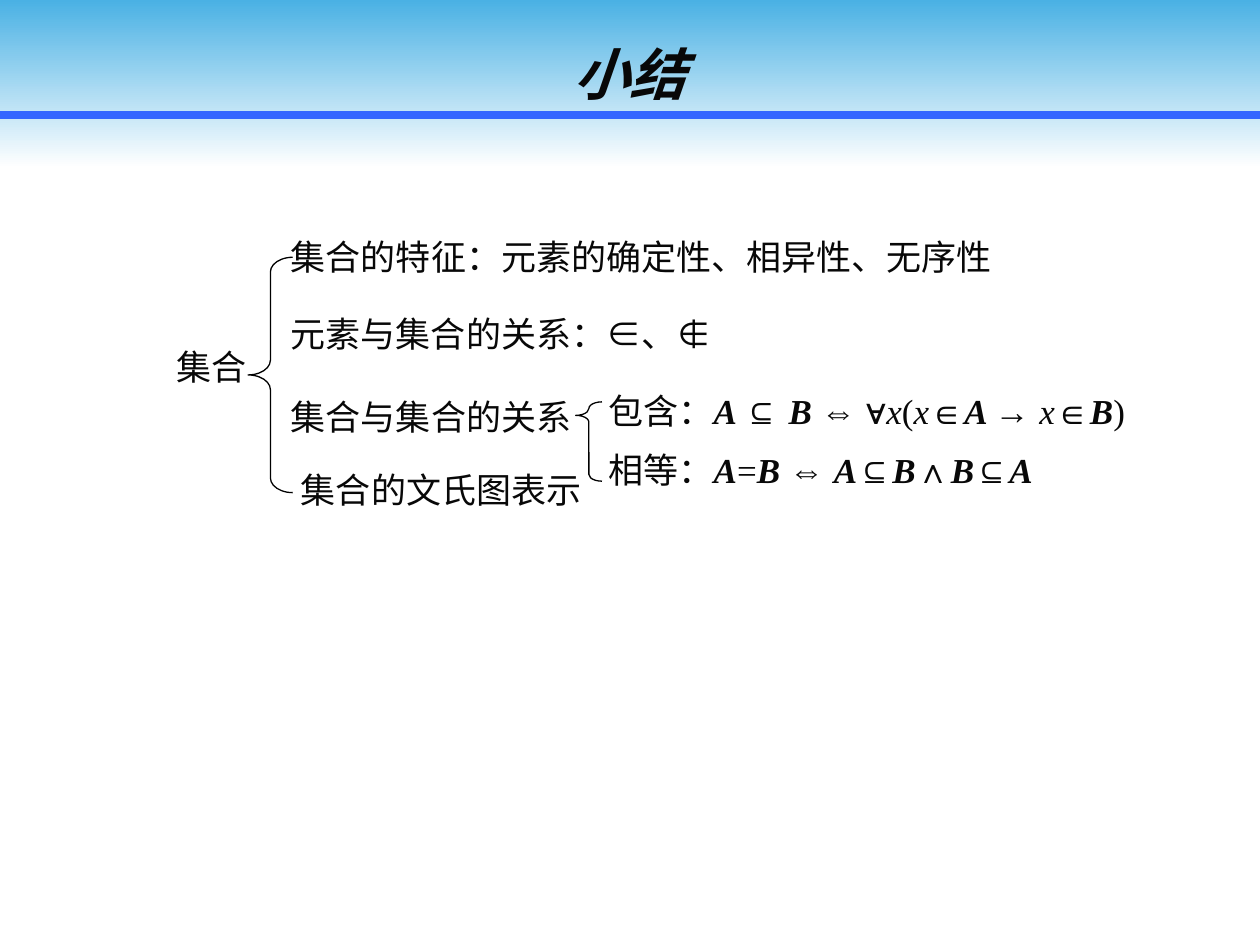
import pptx
import pptx.util
import pptx.dml.color
import pptx.enum.shapes
import pptx.enum.text
import pptx.oxml

Pt = pptx.util.Pt
RGBColor = pptx.dml.color.RGBColor
SHAPES = pptx.enum.shapes.MSO_SHAPE

SKY = RGBColor(0x4A, 0xB1, 0xE4)
WHITE = RGBColor(0xFF, 0xFF, 0xFF)
BLUE = RGBColor(0x33, 0x66, 0xFF)
INK = RGBColor(0x08, 0x08, 0x08)
BLACK = RGBColor(0, 0, 0)

# Run styles: font, bold, italic
PLAIN = ("Arial", False, False)
SET = ("Times New Roman", True, True)
VARIABLE = ("Times New Roman", False, True)
ROMAN = ("Times New Roman", False, False)
HEADING = ("Arial", True, True)


def add_runs(para, runs, size):
    for text, (font, bold, italic) in runs:
        span = para.add_run()
        span.text = text
        span.font.name = font
        span.font.size = Pt(size)
        span.font.bold = bold
        span.font.italic = italic
        span.font.color.rgb = INK


deck = pptx.Presentation()
deck.slide_width = Pt(720)
deck.slide_height = Pt(540)
page = deck.slides.add_slide(deck.slide_layouts[5])

# Header band, fading from sky to white
band = page.shapes.add_shape(SHAPES.RECTANGLE, 0, 0, Pt(720), Pt(95.76))
band.shadow.inherit = False
band.line.fill.background()
band.fill.gradient()
band.fill.gradient_angle = 270
for stop, position, color in zip(band.fill.gradient_stops, (0, 1), (SKY, WHITE)):
    stop.position = position
    stop.color.rgb = color

# Header rule
rule = page.shapes.add_connector(
    pptx.enum.shapes.MSO_CONNECTOR.STRAIGHT, 0, Pt(65.7), Pt(720), Pt(65.7))
rule.line.color.rgb = BLUE
rule.line.width = Pt(4.5)
rule.element.spPr.append(pptx.oxml.parse_xml(
    '<a:effectLst xmlns:a="http://schemas.openxmlformats.org/drawingml/2006/main"/>'))

# Title, brought in front of the band
title = page.shapes.title
title.element.getparent().append(title.element)
title.left, title.top, title.width, title.height = Pt(36), Pt(18), Pt(648), Pt(47.5)
title.text_frame.vertical_anchor = pptx.enum.text.MSO_ANCHOR.MIDDLE
title_para = title.text_frame.paragraphs[0]
title_para.alignment = pptx.enum.text.PP_ALIGN.CENTER
add_runs(title_para, [("小结", HEADING)], 32)

# Braces: left, top, width, height, corner ratio, point ratio
braces = [
    (141.8, 147, 25.5, 134.5, 0.33, 0.5),
    (329, 229.7, 15, 45.3, 0.26, 0.17),
]
for left, top, width, height, corner, point in braces:
    brace = page.shapes.add_shape(
        SHAPES.LEFT_BRACE, Pt(left), Pt(top), Pt(width), Pt(height))
    brace.shadow.inherit = False
    brace.fill.background()
    brace.line.color.rgb = BLACK
    brace.line.width = Pt(0.75)
    brace.adjustments[0] = corner
    brace.adjustments[1] = point

# Tree labels: left, top, width, runs
labels = [
    (93.6, 193.7, 61.2, [("集合", PLAIN)]),
    (159.1, 131, 422, [("集合的特征：元素的确定性、相异性、无序性", PLAIN)]),
    (159.1, 175, 371, [("元素与集合的关系：∈、∉", PLAIN)]),
    (159.1, 222.5, 212, [("集合与集合的关系", PLAIN)]),
    (340.6, 218.9, 337, [
        ("包含：", PLAIN), ("A ", SET), ("⊆ ", PLAIN), ("B ", SET),
        ("⇔ ∀", PLAIN), ("x", VARIABLE), ("(", ROMAN), ("x", VARIABLE),
        ("∈", PLAIN), ("A ", SET), ("→ ", PLAIN), ("x", VARIABLE),
        ("∈", PLAIN), ("B", SET), (")", ROMAN)]),
    (340.6, 252.7, 303, [
        ("相等：", PLAIN), ("A", SET), ("=", ROMAN), ("B ", SET),
        ("⇔ ", PLAIN), ("A", SET), ("⊆", PLAIN), ("B", SET),
        ("∧", PLAIN), ("B", SET), ("⊆", PLAIN), ("A", SET)]),
    (164.9, 264.2, 217.5, [("集合的文氏图表示", PLAIN)]),
]
for left, top, width, runs in labels:
    box = page.shapes.add_textbox(Pt(left), Pt(top), Pt(width), Pt(53.3))
    box.text_frame.word_wrap = True
    add_runs(box.text_frame.paragraphs[0], runs, 20)

deck.save("out.pptx")
